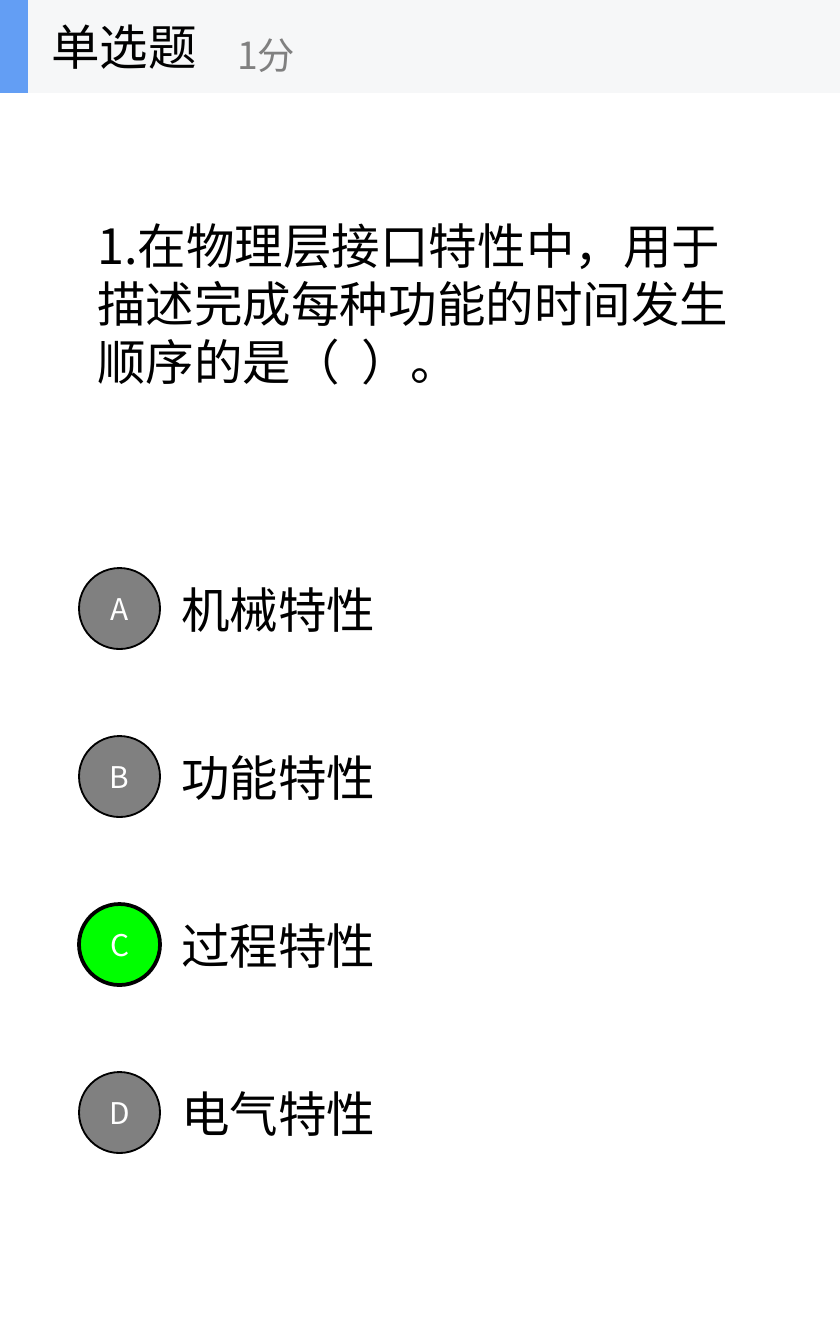
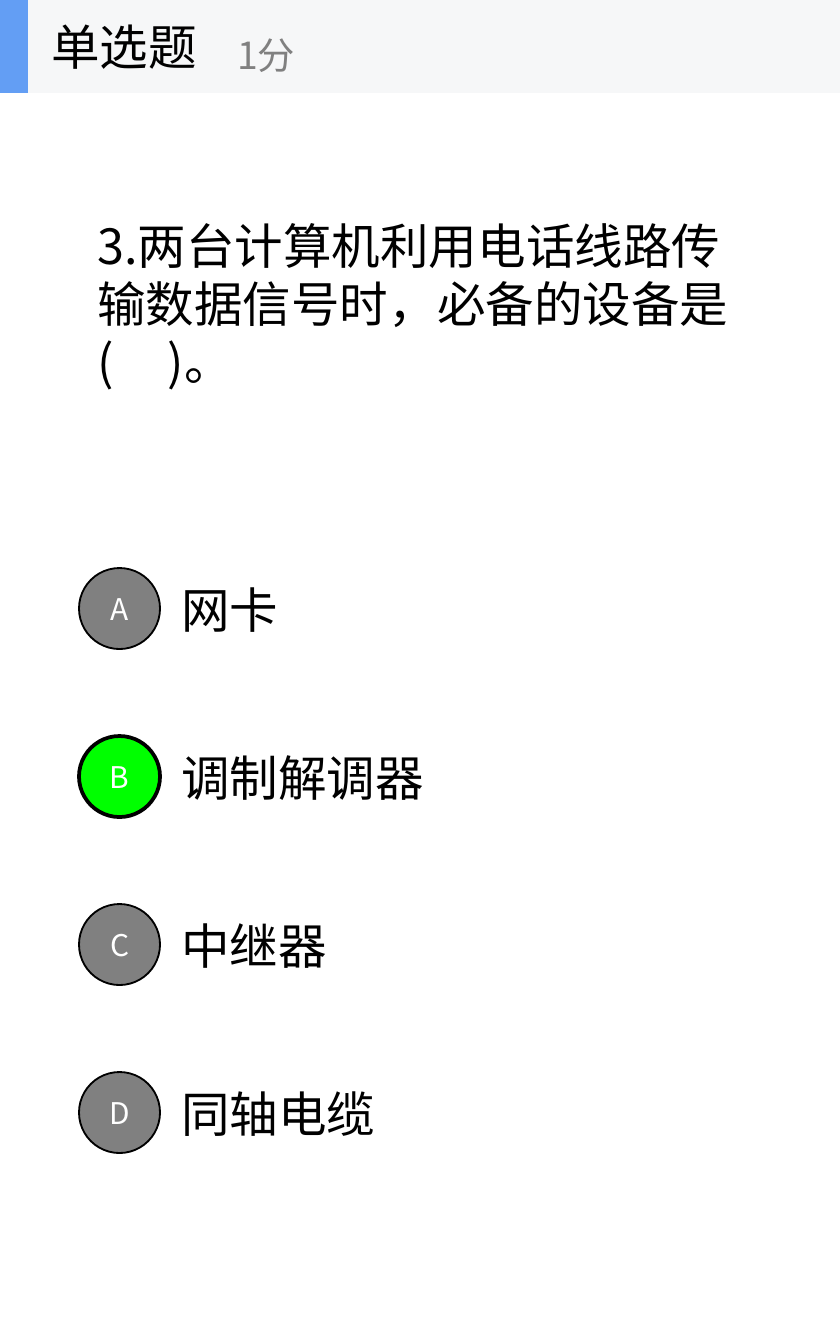
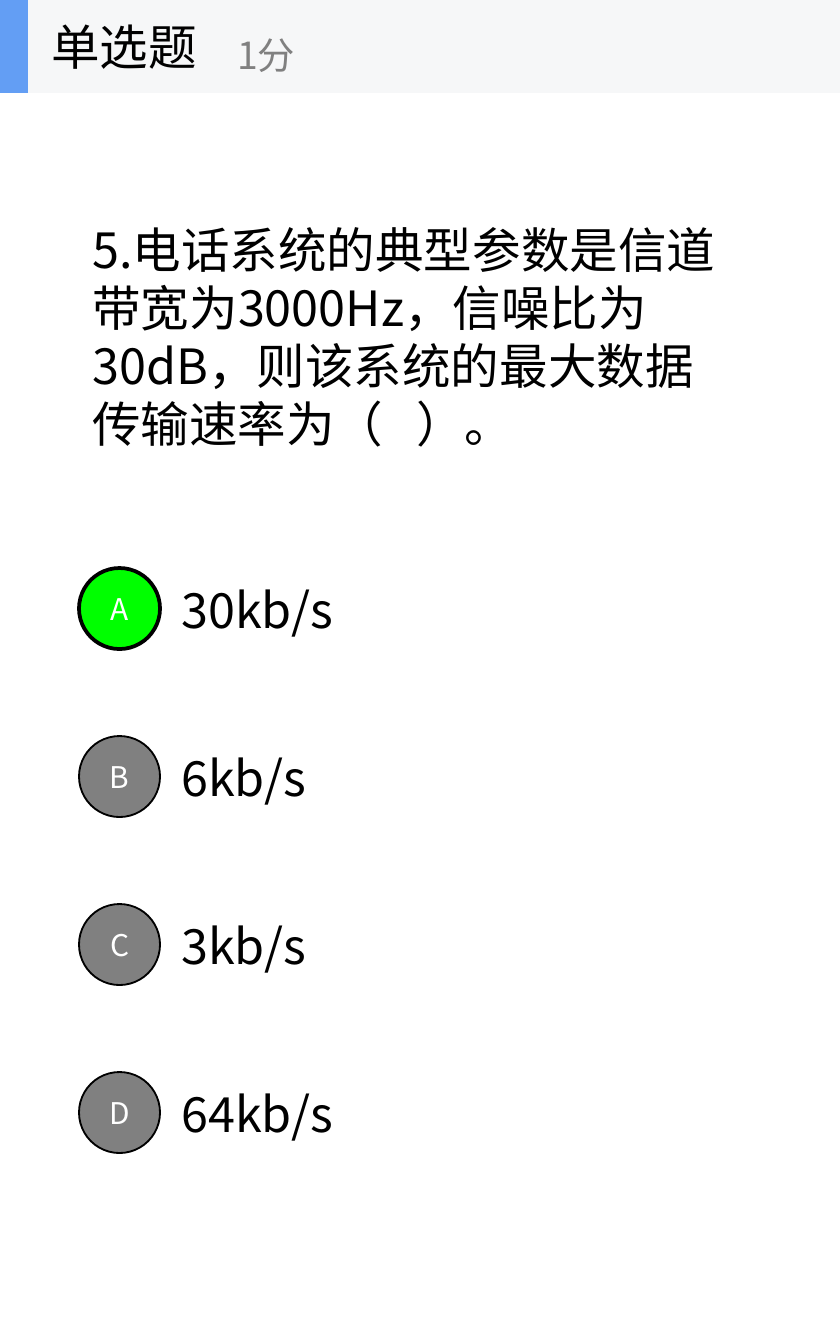
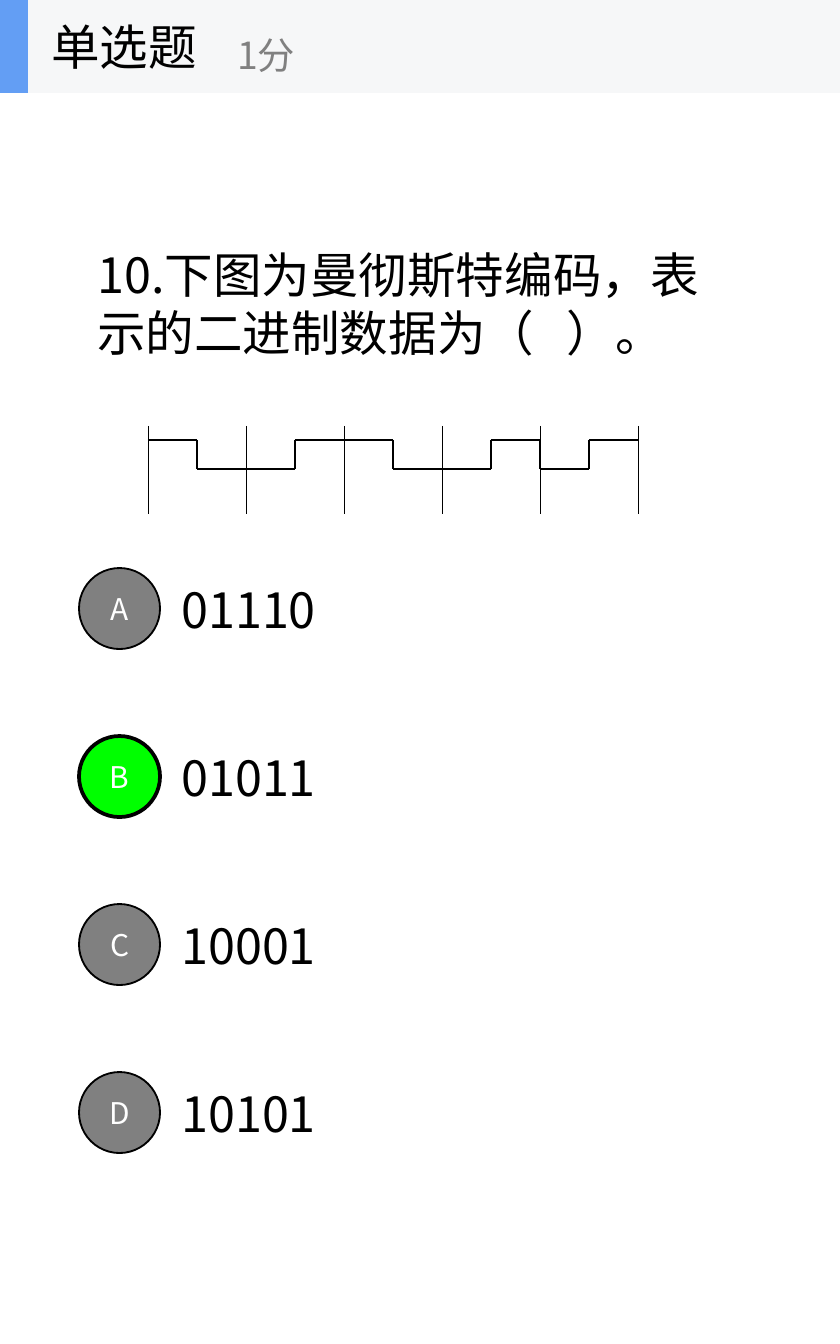
from itertools import pairwise

from lxml import etree
from pptx import Presentation
from pptx.dml.color import RGBColor
from pptx.enum.dml import MSO_LINE
from pptx.enum.shapes import MSO_CONNECTOR, MSO_SHAPE
from pptx.enum.text import MSO_ANCHOR, MSO_AUTO_SIZE, PP_ALIGN
from pptx.oxml.ns import qn
from pptx.util import Pt

RECTANGLE, ELLIPSE = MSO_SHAPE.RECTANGLE, MSO_SHAPE.OVAL
STRAIGHT, DOTTED = MSO_CONNECTOR.STRAIGHT, MSO_LINE.ROUND_DOT
MIDDLE, LEFT, CENTER = MSO_ANCHOR.MIDDLE, PP_ALIGN.LEFT, PP_ALIGN.CENTER
FIXED = MSO_AUTO_SIZE.NONE

EMU_PER_PIXEL = 914400 / 134.4
PAGE_WIDTH, PAGE_HEIGHT = 840, 1344
HEADER_HEIGHT = 93
TITLE_ONLY = 5
FONT = "Noto Sans CJK SC"
COLORS = {
    "text": "000000",
    "muted": "808080",
    "correct": "00FF00",
    "white": "FFFFFF",
    "band": "F6F7F8",
    "accent": "639EF4",
}


def emu(*pixels):
    return [round(value * EMU_PER_PIXEL) for value in pixels]


def color(name):
    return RGBColor.from_string(COLORS[name])


class Quiz:
    def __init__(self):
        self.deck = Presentation()
        self.deck.slide_width, self.deck.slide_height = emu(PAGE_WIDTH, PAGE_HEIGHT)
        self.page = None

    def label(self, shape, text, size, tone="text", align=LEFT):
        frame = shape.text_frame
        frame.text = text
        frame.word_wrap = True
        frame.auto_size = FIXED
        frame.vertical_anchor = MIDDLE
        para = frame.paragraphs[0]
        para.alignment = align
        for span in para.runs:
            span.font.size = Pt(size)
            span.font.name = FONT
            span.font.color.rgb = color(tone)
            east_asian = etree.SubElement(span.font._element, qn("a:ea"))
            east_asian.set("typeface", FONT)

    def text(self, bounds, text, size=26, tone="text"):
        box = self.page.shapes.add_textbox(*emu(*bounds))
        self.label(box, text, size, tone)

    def shape(self, kind, bounds, fill, border=0):
        shape = self.page.shapes.add_shape(kind, *emu(*bounds))
        shape.shadow.inherit = False
        shape.fill.solid()
        shape.fill.fore_color.rgb = color(fill)
        if border:
            shape.line.color.rgb = color("text")
            shape.line.width = Pt(border)
        else:
            shape.line.fill.background()
        return shape

    def line(self, group, start, end, width=0.75, dash=None):
        line = group.shapes.add_connector(STRAIGHT, *emu(*start, *end))
        line.line.color.rgb = color("text")
        line.line.width = Pt(width)
        if dash:
            line.line.dash_style = dash
        etree.SubElement(line.element.spPr, qn("a:effectLst"))

    def header(self, title, points):
        self.shape(RECTANGLE, (0, 0, PAGE_WIDTH, HEADER_HEIGHT), "band")
        self.shape(RECTANGLE, (0, 0, 28, HEADER_HEIGHT), "accent")
        holder = self.page.shapes.title
        self.page.shapes.element.append(holder.element)
        holder.left, holder.top, holder.width, holder.height = emu(38, 0, 280, HEADER_HEIGHT)
        self.label(holder, title, 26)
        self.text((224, 17, 336, 76), points, 20, "muted")

    def options(self, choices, answer):
        top, pitch, height, diameter = 546, 168, 126, 81
        for row, (letter, choice) in enumerate(zip("ABCD", choices)):
            y = top + row * pitch
            self.text((168, y, 588, height), choice)
            correct = letter == answer
            badge = self.shape(
                ELLIPSE,
                (79, y + (height - diameter) // 2, diameter, diameter),
                "correct" if correct else "muted",
                2 if correct else 1,
            )
            self.label(badge, letter, 16, "white", CENTER)

    def question(self, text, choices, answer, left=84, top=93):
        layout = self.deck.slide_layouts[TITLE_ONLY]
        self.page = self.deck.slides.add_slide(layout)
        self.header("单选题", "1分")
        self.text((left, top, 672, 420), text)
        self.options(choices, answer)

    def waveform(self, levels):
        left, half_bit = 148, 49
        height = {"H": 440, "L": 469}
        group = self.page.shapes.add_group_shape()
        for half in range(0, len(levels) + 1, 2):
            x = left + half * half_bit
            self.line(group, (x, 426), (x, 513), 0.25, DOTTED)
        for half, level in enumerate(levels):
            x, y = left + half * half_bit, height[level]
            self.line(group, (x, y), (x + half_bit, y))
        for half, (before, after) in enumerate(pairwise(levels), 1):
            if before != after:
                x = left + half * half_bit
                self.line(group, (x, height[before]), (x, height[after]))


quiz = Quiz()
quiz.question(
    "1.在物理层接口特性中，用于描述完成每种功能的时间发生顺序的是（  ）。",
    ["机械特性", "功能特性", "过程特性", "电气特性"],
    "C",
)
quiz.question(
    "3.两台计算机利用电话线路传输数据信号时，必备的设备是(     )。",
    ["网卡", "调制解调器", "中继器", "同轴电缆"],
    "B",
)
quiz.question(
    "5.电话系统的典型参数是信道带宽为3000Hz，信噪比为30dB，"
    "则该系统的最大数据传输速率为（   ）。",
    ["30kb/s", "6kb/s", "3kb/s", "64kb/s"],
    "A",
    left=79,
    top=126,
)
quiz.question(
    "10.下图为曼彻斯特编码，表示的二进制数据为（   ）。",
    ["01110", "01011", "10001", "10101"],
    "B",
)
quiz.waveform("HLLHHLLHLH")
quiz.deck.save("out.pptx")
